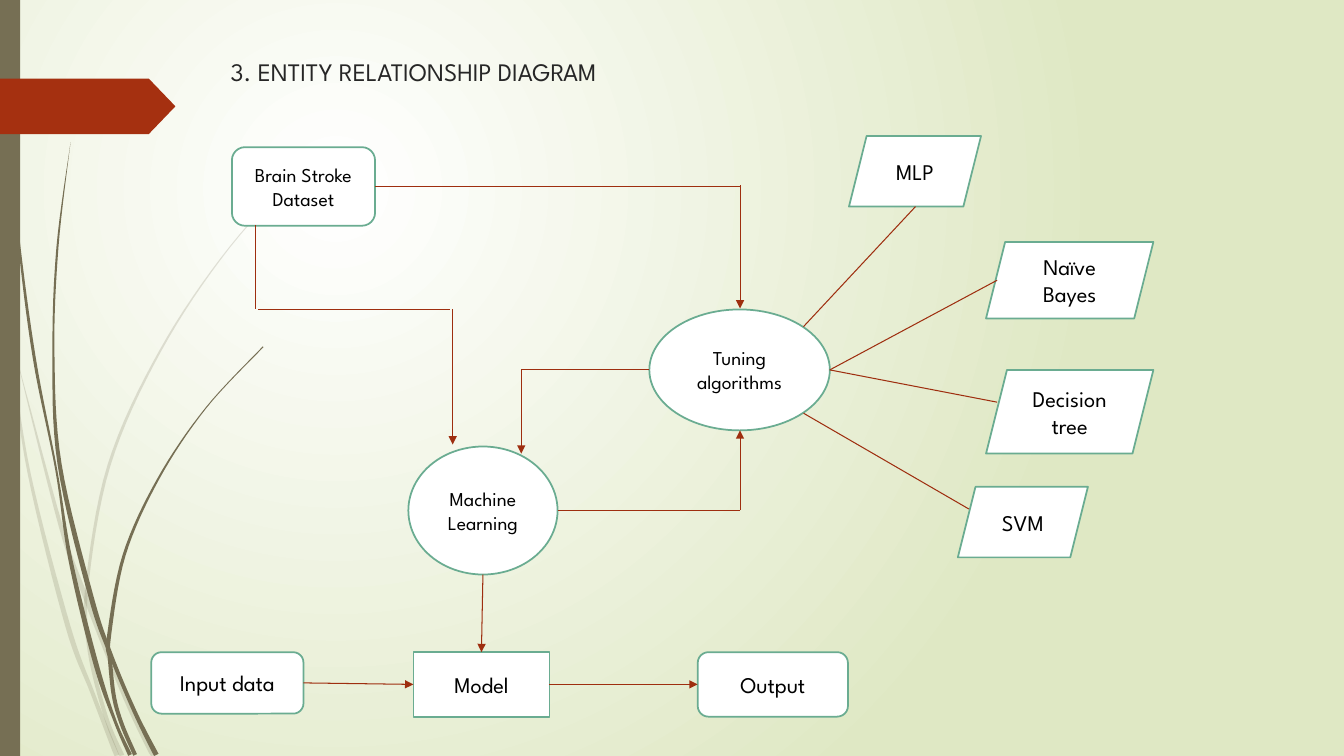
import math

import pptx
import pptx.dml.color
import pptx.enum.shapes
import pptx.enum.text
import pptx.oxml.ns
import pptx.oxml.xmlchemy
import pptx.util

Inches = pptx.util.Inches
SHAPE = pptx.enum.shapes.MSO_SHAPE
ALIGN = pptx.enum.text.PP_ALIGN
ANCHOR = pptx.enum.text.MSO_ANCHOR
FONT = "League Spartan"
COLORS = {
    "white": "FFFFFF", "meadow": "DFE8C4", "olive": "766F54", "rust": "A53010",
    "title": "262626", "text": "000000", "border": "6AAC91", "link": "9E2E0F",
}

PALE_WISPS = [
    [(0, 2.9, .04), (.1, 3.46, .02), (.29, 4.7, .03), (.67, 6.2, .05), (.92, 6.88, .04), (1.16, 7.5, .05)],
    [(.14, 3.45, 0), (.6, 5.21, .04), (.86, 5.95, .05), (1.25, 6.93, .05), (1.52, 7.5, .05)],
    [(3.12, 1.53, .01), (2.28, 2.45, .01), (1.59, 3.48, .02), (1.08, 4.62, .03), (.86, 5.84, .03),
     (.89, 6.46, .04), (1.05, 7.11, .04), (1.21, 7.5, .05)],
]
DARK_WISPS = [
    [(.04, 0, .01), (.07, 1.1, .01), (.18, 2.33, .02), (.34, 3.55, .03), (.56, 4.67, .02),
     (.7, 5.56, .04), (.95, 6.58, .05), (1.14, 7.15, .03), (1.29, 7.49, .04)],
    [(.7, 1.41, 0), (.57, 2.45, .02), (.53, 3.49, .02), (.59, 4.6, .04), (.9, 5.91, .05),
     (1.1, 6.5, .04), (1.34, 7.07, .04), (1.55, 7.49, .05)],
    [(2.61, 3.44, .01), (2.04, 4.05, .01), (1.57, 4.75, .02), (1.23, 5.51, .03), (1.08, 6.32, .04),
     (1.09, 6.54, .04), (1.13, 6.91, .04), (1.21, 7.19, .04), (1.34, 7.49, .04)],
]
NODES = [
    ("Brain Stroke Dataset", SHAPE.ROUNDED_RECTANGLE, (.8, .11, 1.42, .78), 14),
    ("Tuning\nalgorithms", SHAPE.OVAL, (4.94, 1.72, 1.79, 1.2), 14),
    ("Machine Learning", SHAPE.OVAL, (2.55, 3.08, 1.48, 1.27), 14),
    ("Model", SHAPE.RECTANGLE, (2.6, 5.12, 1.35, .64), 16),
    ("Output", SHAPE.ROUNDED_RECTANGLE, (5.42, 5.12, 1.49, .64), 16),
    ("Input data", SHAPE.ROUNDED_RECTANGLE, (0, 5.12, 1.51, .61), 16),
    ("MLP", SHAPE.PARALLELOGRAM, (6.92, 0, 1.31, .7), 16),
    ("Naïve Bayes", SHAPE.PARALLELOGRAM, (8.28, 1.05, 1.66, .76), 16),
    ("Decision tree", SHAPE.PARALLELOGRAM, (8.28, 2.32, 1.66, .83), 16),
    ("SVM", SHAPE.PARALLELOGRAM, (8, 3.48, 1.29, .7), 16),
]
PLAIN_LINKS = [
    ((4.94, 2.32), (3.67, 2.32)), ((1.03, .88), (1.03, 1.72)), ((1.06, 1.72), (2.96, 1.72)),
    ((4.03, 3.71), (5.84, 3.71)), ((6.47, 1.89), (7.58, .7)), ((6.73, 2.32), (8.39, 1.43)),
    ((6.73, 2.32), (8.39, 2.64)), ((6.47, 2.75), (8.11, 3.7)),
]
ARROW_LINKS = [
    ((5.84, .49), (5.84, 1.71)), ((3.67, 2.32), (3.67, 3.15)),
    ((2.99, 1.72), (2.99, 3.06)), ((5.84, 3.71), (5.84, 2.92)),
]


def rgb(name):
    """Return the named colour."""
    return pptx.dml.color.RGBColor.from_string(COLORS[name])


def find_xml(parent, tag):
    """Return the first descendant with the tag."""
    return parent.find(".//" + pptx.oxml.ns.qn(tag))


def add_xml(parent, tag, **attributes):
    """Append an empty drawing element and return it."""
    element = pptx.oxml.xmlchemy.OxmlElement(tag)
    for key, value in attributes.items():
        element.set(key, value)
    parent.append(element)
    return element


def write_text(frame, text, size, color, align=ALIGN.LEFT, anchor=ANCHOR.TOP):
    """Write each line of the text as a formatted paragraph."""
    frame.word_wrap = True
    frame.vertical_anchor = anchor
    for index, line in enumerate(text.split("\n")):
        para = frame.add_paragraph() if index else frame.paragraphs[0]
        para.alignment = align
        span = para.add_run()
        span.text = line
        span.font.name = FONT
        span.font.size = pptx.util.Pt(size)
        span.font.color.rgb = rgb(color)


def paint(shape, fill, line=None):
    """Set the fill and outline of a shape without a shadow."""
    shape.shadow.inherit = False
    shape.fill.solid()
    shape.fill.fore_color.rgb = rgb(fill)
    if line:
        shape.line.color.rgb = rgb(line)
        shape.line.width = pptx.util.Pt(1.25)
    else:
        shape.line.fill.background()


def add_panel(page, kind, box, fill, line=None):
    """Add a painted preset shape in the box."""
    shape = page.shapes.add_shape(kind, *map(Inches, box))
    paint(shape, fill, line)
    return shape


def add_link(page, start, end, arrow=False):
    """Add a thin line, with an arrowhead at its end if asked."""
    link = page.shapes.add_connector(
        pptx.enum.shapes.MSO_CONNECTOR.STRAIGHT, *map(Inches, start + end))
    link.line.color.rgb = rgb("link")
    link.line.width = pptx.util.Pt(.75)
    if arrow:
        add_xml(find_xml(link.element, "a:ln"), "a:tailEnd", type="triangle")
    add_xml(link.element.spPr, "a:effectLst")
    return link


def smooth_points(knots, steps=8):
    """Return points of a smooth curve through the knots."""
    padded = [knots[0], *knots, knots[-1]]
    points = []
    for before, start, end, after in zip(padded, padded[1:], padded[2:], padded[3:]):
        for step in range(steps):
            t = step / steps
            points.append(tuple(
                b + t * (c - a) / 2 + t * t * (a - 2.5 * b + 2 * c - d / 2)
                + t ** 3 * (3 * b - a - 3 * c + d) / 2
                for a, b, c, d in zip(before, start, end, after)))
    return points + [knots[-1]]


def draw_wisp(page, box, knots, opacity=None):
    """Draw a curved blade whose knots give x, y and width."""
    points = smooth_points(knots)
    sides = [[], []]
    for index, (x, y, width) in enumerate(points):
        back, ahead = points[max(index - 1, 0)], points[min(index + 1, len(points) - 1)]
        angle = math.atan2(ahead[1] - back[1], ahead[0] - back[0])
        for side, sign in zip(sides, (1, -1)):
            shift = sign * width / 2
            side.append((Inches(box[0] + x - shift * math.sin(angle)),
                         Inches(box[1] + min(y + shift * math.cos(angle), box[3]))))
    outline = sides[0] + sides[1][::-1]
    builder = page.shapes.build_freeform(*outline[0])
    builder.add_line_segments(outline[1:], close=True)
    wisp = builder.convert_to_shape()
    paint(wisp, "olive")
    if opacity:
        add_xml(find_xml(wisp.element.spPr, "a:srgbClr"), "a:alpha", val=str(opacity * 1000))


def draw_background(page):
    """Fill the page with a round gradient."""
    fill = page.background.fill
    fill.gradient()
    for stop, position, name in zip(fill.gradient_stops, (0, 1), ("white", "meadow")):
        stop.position = position
        stop.color.rgb = rgb(name)
    gradient = find_xml(page.element, "a:gradFill")
    gradient.remove(find_xml(gradient, "a:lin"))
    circle = add_xml(gradient, "a:path", path="circle")
    add_xml(circle, "a:fillToRect", l="50000", t="50000", r="100000", b="100000")


def draw_side(page, box):
    """Draw the wisps, the side band and the pointed tab."""
    left, top, _, height = box
    for knots in PALE_WISPS:
        draw_wisp(page, box, knots, opacity=20)
    for knots in DARK_WISPS:
        draw_wisp(page, box, knots)
    add_panel(page, SHAPE.RECTANGLE, (left, top, .2, height), "olive")
    tab = add_panel(page, SHAPE.PENTAGON, (left, top + .78, 1.74, .55), "rust")
    tab.adjustments[0] = .48


def draw_title(page, box):
    """Write the title in the box."""
    title = page.shapes.add_textbox(*map(Inches, box))
    write_text(title.text_frame, "3. ENTITY RELATIONSHIP DIAGRAM", 18, "title")


def draw_diagram(page, box):
    """Draw the nodes and links from the corner of the box."""
    left, top = box[:2]

    def place(point):
        """Move a point into the box."""
        return left + point[0], top + point[1]

    nodes = {}
    for text, kind, area, size in NODES:
        node = add_panel(page, kind, place(area) + area[2:], "white", "border")
        write_text(node.text_frame, text, size, "text", ALIGN.CENTER, ANCHOR.MIDDLE)
        nodes[text] = node
    for links, arrow in ((PLAIN_LINKS, False), (ARROW_LINKS, True)):
        for start, end in links:
            add_link(page, place(start), place(end), arrow)
    dataset_link = add_link(page, place((2.22, .5)), place((5.84, .5)))
    dataset_link.begin_connect(nodes["Brain Stroke Dataset"], 3)
    model_link = add_link(page, place((3.29, 4.35)), place((3.29, 5.12)), True)
    model_link.end_connect(nodes["Model"], 0)
    for source, target in (("Input data", "Model"), ("Model", "Output")):
        link = add_link(page, place((0, 0)), place((1, 1)), True)
        link.begin_connect(nodes[source], 3)
        link.end_connect(nodes[target], 1)


def main():
    """Build and save the deck."""
    deck = pptx.Presentation()
    deck.slide_width, deck.slide_height = Inches(13.33), Inches(7.5)
    page = deck.slides.add_slide(deck.slide_layouts[6])
    draw_background(page)
    draw_side(page, (0, 0, 3.12, 7.5))
    draw_title(page, (2.19, .51, 4.38, .45))
    draw_diagram(page, (1.5, 1.35, 9.94, 5.76))
    deck.save("out.pptx")


if __name__ == "__main__":
    main()
